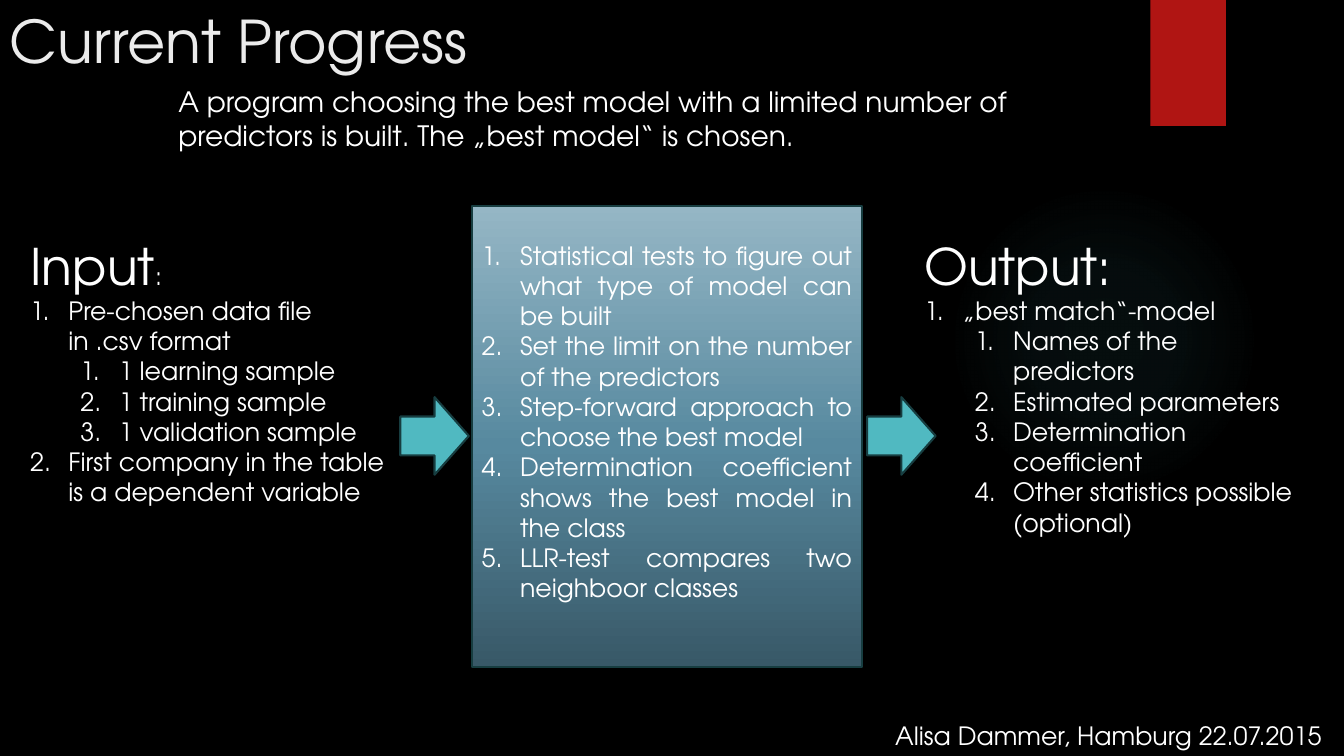
from lxml import etree
from pptx import Presentation
from pptx.dml.color import RGBColor as Rgb
from pptx.enum.shapes import MSO_SHAPE as Kind
from pptx.enum.text import MSO_ANCHOR as Anchor, PP_ALIGN as Align
from pptx.oxml import parse_xml
from pptx.oxml.ns import qn
from pptx.util import Inches, Pt

NS = 'xmlns:a="http://schemas.openxmlformats.org/drawingml/2006/main"'


def color(code):
    """Turn a hex string into a colour."""
    return Rgb.from_string(code)


class Deck:
    """Hold the style and the current slide."""

    font = "TeX Gyre Adventor"
    white = "FFFFFF"
    teal = "50B9C1"
    edge = "173D40"

    def __init__(self):
        """Start a deck with one black slide."""
        self.prs = Presentation()
        self.prs.slide_width = Inches(13.33)
        self.prs.slide_height = Inches(7.5)
        self.slide = self.prs.slides.add_slide(self.prs.slide_layouts[6])
        back = self.slide.background.fill
        back.solid()
        back.fore_color.rgb = color("000000")

    def shape(self, kind, box, fill=None, line=None):
        """Add a preset shape."""
        item = self.slide.shapes.add_shape(kind, *map(Inches, box))
        item.shadow.inherit = False
        if fill:
            item.fill.solid()
            item.fill.fore_color.rgb = color(fill)
        if line:
            item.line.color.rgb = color(line)
            item.line.width = Pt(1.5)
        else:
            item.line.fill.background()
        return item

    def blend(self, item, stops, way):
        """Fill a shape with a gradient of (place, colour, opacity) stops."""
        marks = "".join(
            f'<a:gs pos="{pos * 1000}"><a:srgbClr val="{code}">'
            f'<a:alpha val="{part * 1000}"/></a:srgbClr></a:gs>'
            for pos, code, part in stops)
        grad = parse_xml(f'<a:gradFill {NS} rotWithShape="1">'
                         f'<a:gsLst>{marks}</a:gsLst>{way}</a:gradFill>')
        item.fill.background()
        props = item.fill._xPr
        props.replace(props.find(qn("a:noFill")), grad)

    def shade(self, item):
        """Drop a soft shadow below a shape."""
        glow = item._element.spPr.find(qn("a:effectLst"))
        glow.append(parse_xml(
            f'<a:outerShdw {NS} blurRad="{Pt(3)}" dist="{Pt(2)}" dir="5400000" '
            'rotWithShape="0"><a:srgbClr val="000000"><a:alpha val="45000"/>'
            '</a:srgbClr></a:outerShdw>'))

    def style(self, para, size, code=white):
        """Format the runs of a paragraph."""
        para.font.size = Pt(size)
        for run in para.runs:
            run.font.size = Pt(size)
            run.font.name = self.font
            run.font.color.rgb = color(code)

    def text(self, box, words, size, code=white):
        """Add a text box with one paragraph."""
        frame = self.slide.shapes.add_textbox(*map(Inches, box)).text_frame
        frame.word_wrap = True
        frame.text = words
        self.style(frame.paragraphs[0], size, code)
        return frame

    def item(self, para, words, level=0, align=Align.LEFT):
        """Write one numbered paragraph."""
        para.text = words
        para.level = level
        para.alignment = align
        props = para._p.get_or_add_pPr()
        props.set("marL", str(Inches(0.38 + level / 2)))
        props.set("indent", str(Inches(-0.38)))
        etree.SubElement(props, qn("a:buFont"), typeface="+mj-lt")
        etree.SubElement(props, qn("a:buAutoNum"), type="arabicPeriod")
        self.style(para, 18)

    def column(self, box, head, items):
        """Add a headed list of (level, words) items."""
        frame = self.text(box, head, 36)
        for level, words in items:
            self.item(frame.add_paragraph(), words, level)
        return frame

    def panel(self, box, items):
        """Add the gradient box with the numbered steps."""
        item = self.shape(Kind.RECTANGLE, box, line=self.edge)
        stops = [(0, "385867", 100), (48, "57899F", 100), (100, "95B6C5", 100)]
        self.blend(item, stops, '<a:lin ang="16200000" scaled="0"/>')
        frame = item.text_frame
        frame.word_wrap = True
        frame.vertical_anchor = Anchor.MIDDLE
        frame.margin_bottom = Inches(0.35)
        for spot, words in enumerate(items):
            para = frame.add_paragraph() if spot else frame.paragraphs[0]
            self.item(para, words, align=Align.JUSTIFY)


def main():
    """Build the slide and save it."""
    deck = Deck()
    halo = deck.shape(Kind.OVAL, (9.41, 1.83, 3.08, 3.08))
    deck.blend(halo, [(0, deck.teal, 7), (36, deck.teal, 6), (69, deck.teal, 0)],
               '<a:path path="circle"><a:fillToRect l="50000" t="50000" '
               'r="50000" b="50000"/></a:path>')
    deck.shade(deck.shape(Kind.RECTANGLE, (11.41, 0, 0.75, 1.25), "B01513"))

    title = deck.text((0, 0, 4.94, 0.79), "Current Progress", 42, "EBEBEB")
    title.vertical_anchor = Anchor.MIDDLE
    deck.text((1.67, 0.79, 9.78, 0.77),
              "A program choosing the best model with a limited number of "
              "predictors is built. The „best model“ is chosen.", 20)

    deck.panel((4.68, 2.04, 3.87, 4.58), [
        "Statistical tests to figure out what type of model can be built",
        "Set the limit on the number of the predictors",
        "Step-forward approach to choose the best model",
        "Determination coefficient shows the best model in the class",
        "LLR-test compares two neighboor classes"])
    for left in (3.97, 8.6):
        deck.shape(Kind.RIGHT_ARROW, (left, 3.94, 0.68, 0.77), deck.teal, deck.edge)

    source = deck.column((0.2, 2.28, 3.73, 2.83), "Input", [
        (0, "Pre-chosen data file\vin .csv format"),
        (1, "1 learning sample"),
        (1, "1 training sample"),
        (1, "1 validation sample"),
        (0, "First company in the table is a dependent variable")])
    colon = source.paragraphs[0].add_run()
    colon.text = ":"
    colon.font.size = Pt(18)
    colon.font.name = deck.font
    colon.font.color.rgb = color(deck.white)
    deck.column((9.07, 2.28, 3.93, 3.13), "Output:", [
        (0, "„best match“-model"),
        (1, "Names of the predictors"),
        (1, "Estimated parameters"),
        (1, "Determination coefficient"),
        (1, "Other statistics possible (optional)")])
    deck.text((8.78, 7.1, 4.55, 0.4), "Alisa Dammer, Hamburg 22.07.2015", 18)
    deck.prs.save("out.pptx")


if __name__ == "__main__":
    main()
